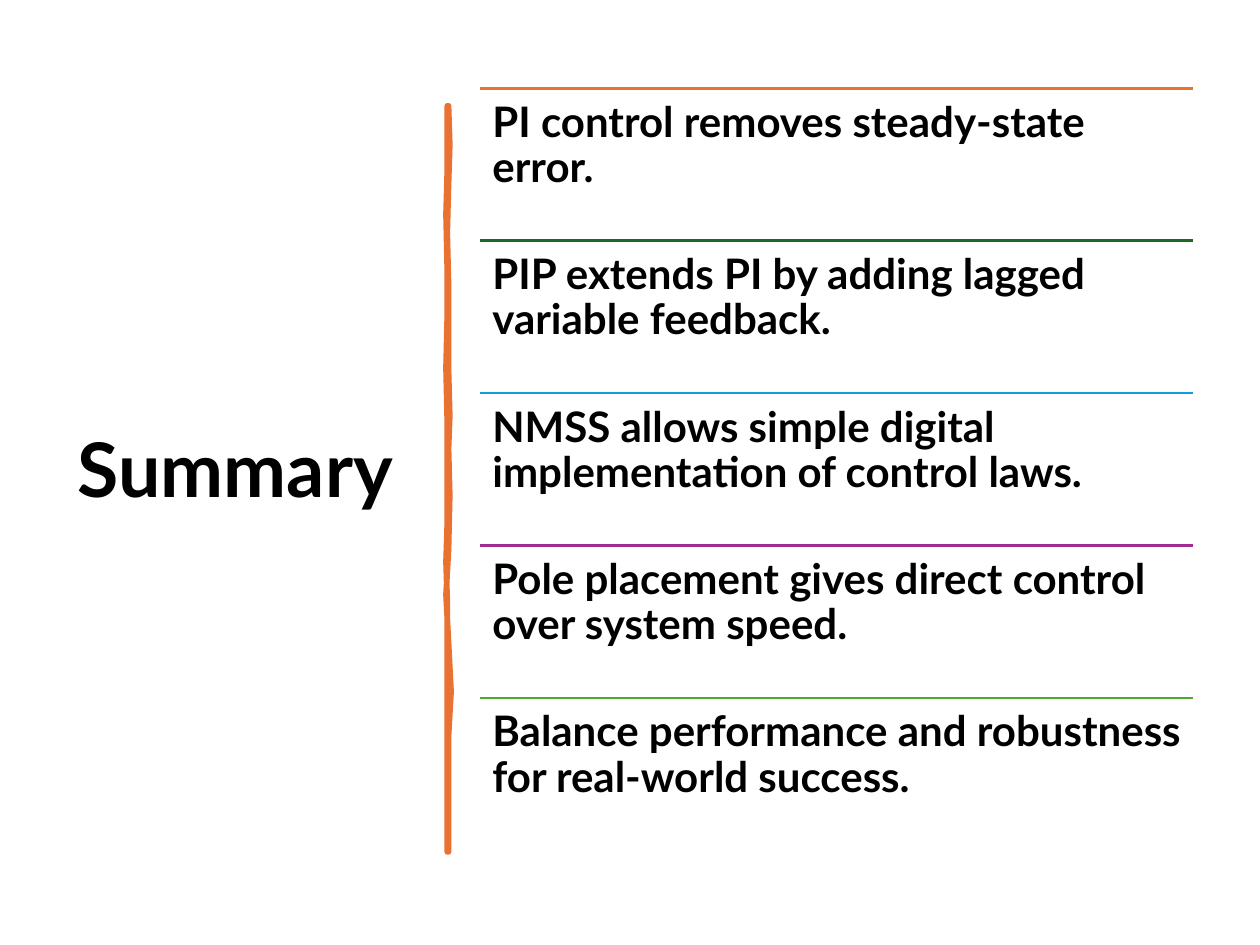
from dataclasses import dataclass

from lxml.etree import SubElement
from pptx import Presentation
from pptx.dml.color import RGBColor
from pptx.enum.shapes import MSO_CONNECTOR
from pptx.enum.text import MSO_ANCHOR
from pptx.oxml.ns import qn
from pptx.slide import Slide
from pptx.util import Inches, Pt

FONT = "Lato"
BLACK = RGBColor(0x00, 0x00, 0x00)
ORANGE = RGBColor(0xE9, 0x71, 0x32)
DARK_GREEN = RGBColor(0x19, 0x6B, 0x24)
BLUE = RGBColor(0x0F, 0x9E, 0xD5)
PURPLE = RGBColor(0xA0, 0x2B, 0x93)
GREEN = RGBColor(0x4E, 0xA7, 0x2E)

LIST_LEFT, LIST_TOP, LIST_WIDTH, ROW_HEIGHT = 3.81, 0.7, 5.66, 1.21

# Outline of the brush stroke: down its right edge, up its left edge
STROKE_RIGHT = [
    (3.56, 0.84), (3.57, 1.15), (3.56, 1.46), (3.55, 1.85), (3.56, 2.26),
    (3.56, 2.94), (3.57, 3.3), (3.56, 3.56), (3.57, 3.93), (3.56, 4.36),
    (3.54, 4.72), (3.56, 5.1), (3.58, 5.49), (3.56, 5.84), (3.56, 6.76),
]
STROKE_LEFT = [
    (3.55, 6.76), (3.55, 4.77), (3.54, 4.46), (3.55, 4.15), (3.55, 3.35),
    (3.54, 2.92), (3.55, 2.5), (3.55, 2.15), (3.54, 1.7), (3.55, 1.36),
    (3.55, 0.84),
]


@dataclass
class Point:
    text: str
    color: RGBColor


POINTS = [
    Point("PI control removes steady-state error.", ORANGE),
    Point("PIP extends PI by adding lagged variable feedback.", DARK_GREEN),
    Point("NMSS allows simple digital implementation of control laws.", BLUE),
    Point("Pole placement gives direct control over system speed.", PURPLE),
    Point("Balance performance and robustness for real-world success.", GREEN),
]


def add_text(page: Slide, text: str, left: float, top: float, width: float,
             height: float, size: float, anchor: MSO_ANCHOR) -> None:
    box = page.shapes.add_textbox(
        Inches(left), Inches(top), Inches(width), Inches(height))
    frame = box.text_frame
    frame.word_wrap = True
    frame.vertical_anchor = anchor
    frame.margin_left = frame.margin_right = Inches(0.1)
    frame.margin_top = frame.margin_bottom = Inches(0.1)
    para = frame.paragraphs[0]
    para.text = text
    para.line_spacing = 0.9
    para.font.name = FONT
    para.font.size = Pt(size)
    para.font.bold = True
    para.font.color.rgb = BLACK


def add_rule(page: Slide, top: float, color: RGBColor) -> None:
    rule = page.shapes.add_connector(
        MSO_CONNECTOR.STRAIGHT, Inches(LIST_LEFT), Inches(top),
        Inches(LIST_LEFT + LIST_WIDTH), Inches(top))
    rule.line.color.rgb = color
    rule.line.width = Pt(1.5)
    SubElement(rule._element.spPr, qn("a:effectLst"))


def add_brush_stroke(page: Slide) -> None:
    start, *rest = [(Inches(x), Inches(y)) for x, y in STROKE_RIGHT + STROKE_LEFT]
    builder = page.shapes.build_freeform(*start)
    builder.add_line_segments(rest, close=True)
    stroke = builder.convert_to_shape()
    stroke.shadow.inherit = False
    stroke.fill.solid()
    stroke.fill.fore_color.rgb = ORANGE
    stroke.line.color.rgb = ORANGE
    stroke.line.width = Pt(3.25)
    SubElement(stroke.line._get_or_add_ln(), qn("a:round"))


def main() -> None:
    deck = Presentation()
    deck.slide_width, deck.slide_height = Inches(10), Inches(7.5)
    page = deck.slides.add_slide(deck.slide_layouts[6])

    # Title and divider
    add_text(page, "Summary", 0.52, 0.7, 2.8, 6.11, 43, MSO_ANCHOR.MIDDLE)
    add_brush_stroke(page)

    # Summary points, each under a coloured rule
    for row, point in enumerate(POINTS):
        top = LIST_TOP + row * ROW_HEIGHT
        add_rule(page, top, point.color)
        add_text(page, point.text, LIST_LEFT, top, LIST_WIDTH, ROW_HEIGHT,
                 24, MSO_ANCHOR.TOP)

    deck.save("out.pptx")


if __name__ == "__main__":
    main()
